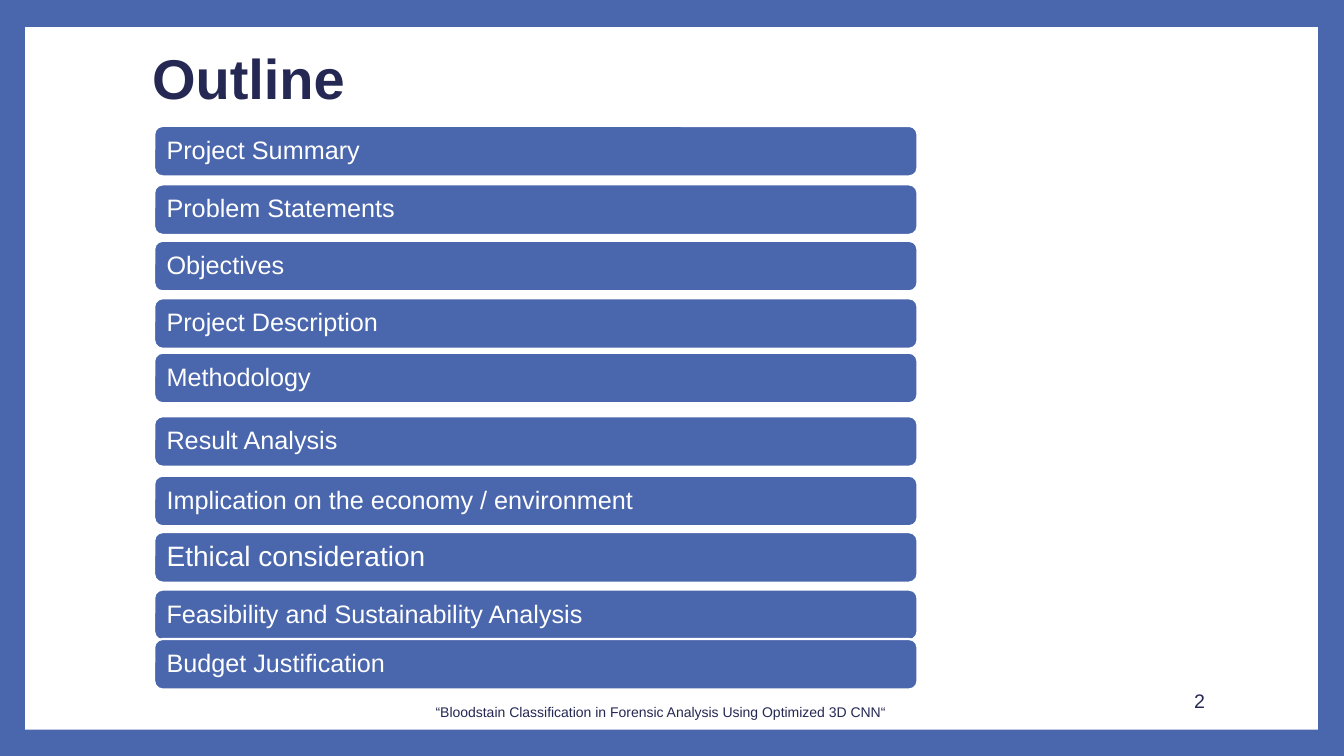
from pptx import Presentation
from pptx.dml.color import RGBColor
from pptx.enum.shapes import MSO_SHAPE as SHAPE
from pptx.enum.text import MSO_ANCHOR as ANCHOR, PP_ALIGN as ALIGN
from pptx.util import Pt

PX = 9144  # EMU per px, 100 px to the inch

BLUE = RGBColor(0x4A, 0x66, 0xAC)
NAVY = RGBColor(0x24, 0x28, 0x52)
WHITE = RGBColor(0xFF, 0xFF, 0xFF)

BAR_LEFT, BAR_WIDTH, BAR_HEIGHT = 153, 757, 50

# Outline entries: top, text, font size
TOPICS = [
    (125, "Project Summary", 18),
    (183, "Problem Statements", 18),
    (239, "Objectives", 18),
    (296, "Project Description", 18),
    (350, "Methodology", 18),
    (413, "Result Analysis", 18),
    (472, "Implication on the economy / environment", 18),
    (528, "Ethical consideration", 20),
    (585, "Feasibility and Sustainability Analysis", 18),
    (634, "Budget Justification", 18),
]


def emu(*lengths):
    return [length * PX for length in lengths]


def write(sp, text, size, color, bold=False, align=ALIGN.LEFT,
          anchor=ANCHOR.MIDDLE, spacing=0.9):
    tf = sp.text_frame
    tf.word_wrap = True
    tf.vertical_anchor = anchor
    p = tf.paragraphs[0]
    p.alignment = align
    p.line_spacing = spacing
    r = p.add_run()
    r.text = text
    r.font.color.rgb = color
    for name, value in {"name": "Arial", "size": Pt(size), "bold": bold}.items():
        setattr(r.font, name, value)


def add_text(s, box, text, size, **formats):
    sp = s.shapes.add_textbox(*emu(*box))
    write(sp, text, size, NAVY, **formats)


def add_box(s, kind, box, fill):
    sp = s.shapes.add_shape(kind, *emu(*box))
    sp.shadow.inherit = False
    sp.fill.solid()
    sp.fill.fore_color.rgb = fill
    sp.line.fill.background()
    return sp


def add_bar(s, top, text, size):
    box = (BAR_LEFT, top, BAR_WIDTH, BAR_HEIGHT)
    sp = add_box(s, SHAPE.ROUNDED_RECTANGLE, box, BLUE)
    sp.line.color.rgb = WHITE
    sp.line.width = Pt(1.5)
    write(sp, text, size, WHITE)


def main():
    prs = Presentation()
    prs.slide_width, prs.slide_height = emu(1333, 750)
    s = prs.slides.add_slide(prs.slide_layouts[6])

    # Blue frame around a white page
    s.background.fill.solid()
    s.background.fill.fore_color.rgb = BLUE
    add_box(s, SHAPE.RECTANGLE, (25, 27, 1282, 697), WHITE)

    # Title
    add_text(s, (141, 22, 261, 117), "Outline", 40, bold=True)

    # Outline bars
    for topic in TOPICS:
        add_bar(s, *topic)

    # Footer and slide number
    add_text(s, (405, 695, 500, 40),
             "“Bloodstain Classification in Forensic Analysis Using Optimized 3D CNN“",
             10, align=ALIGN.CENTER, anchor=ANCHOR.TOP)
    add_text(s, (1099, 675, 106, 40), "2", 14, align=ALIGN.RIGHT, spacing=1.0)

    prs.save("out.pptx")


if __name__ == "__main__":
    main()
